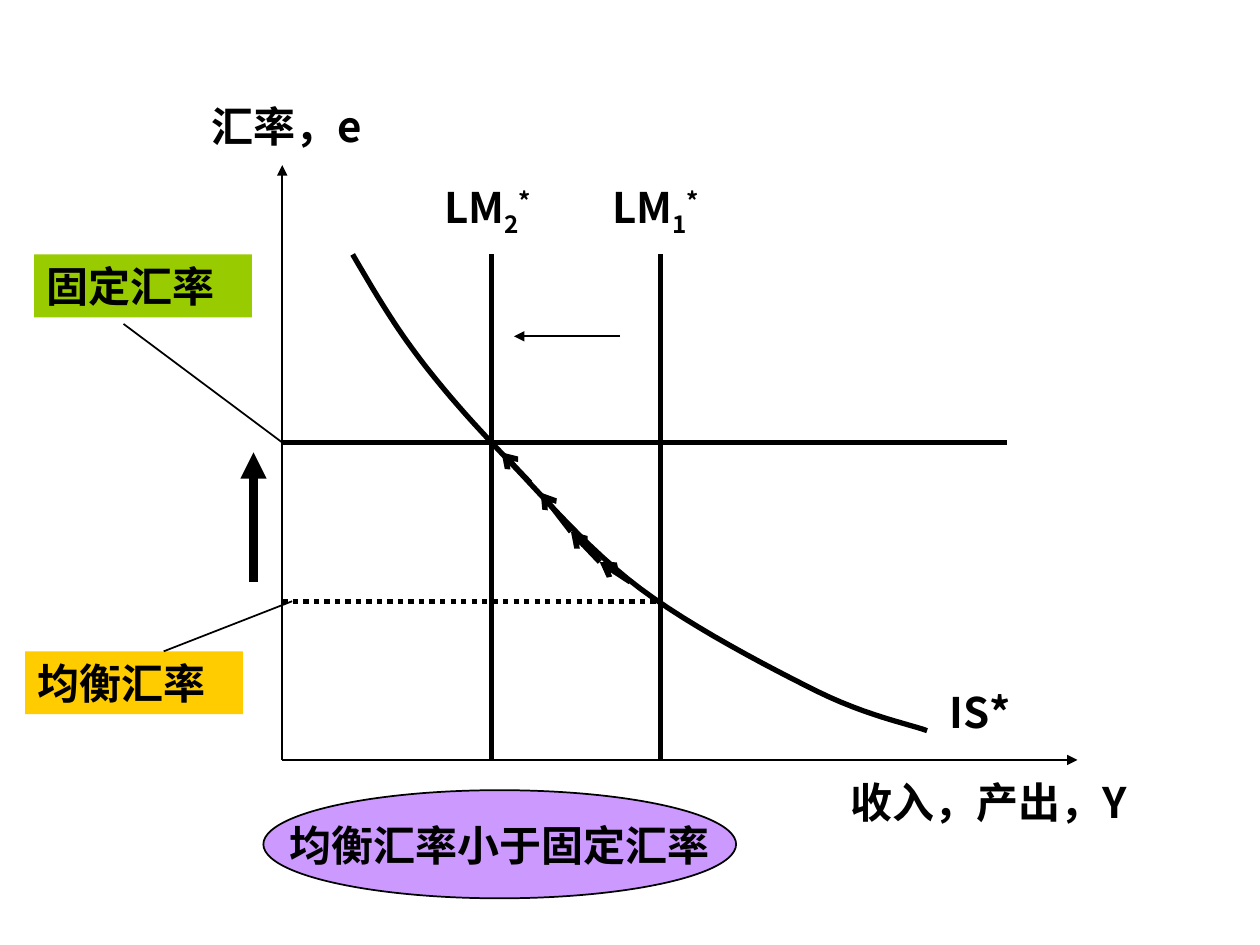
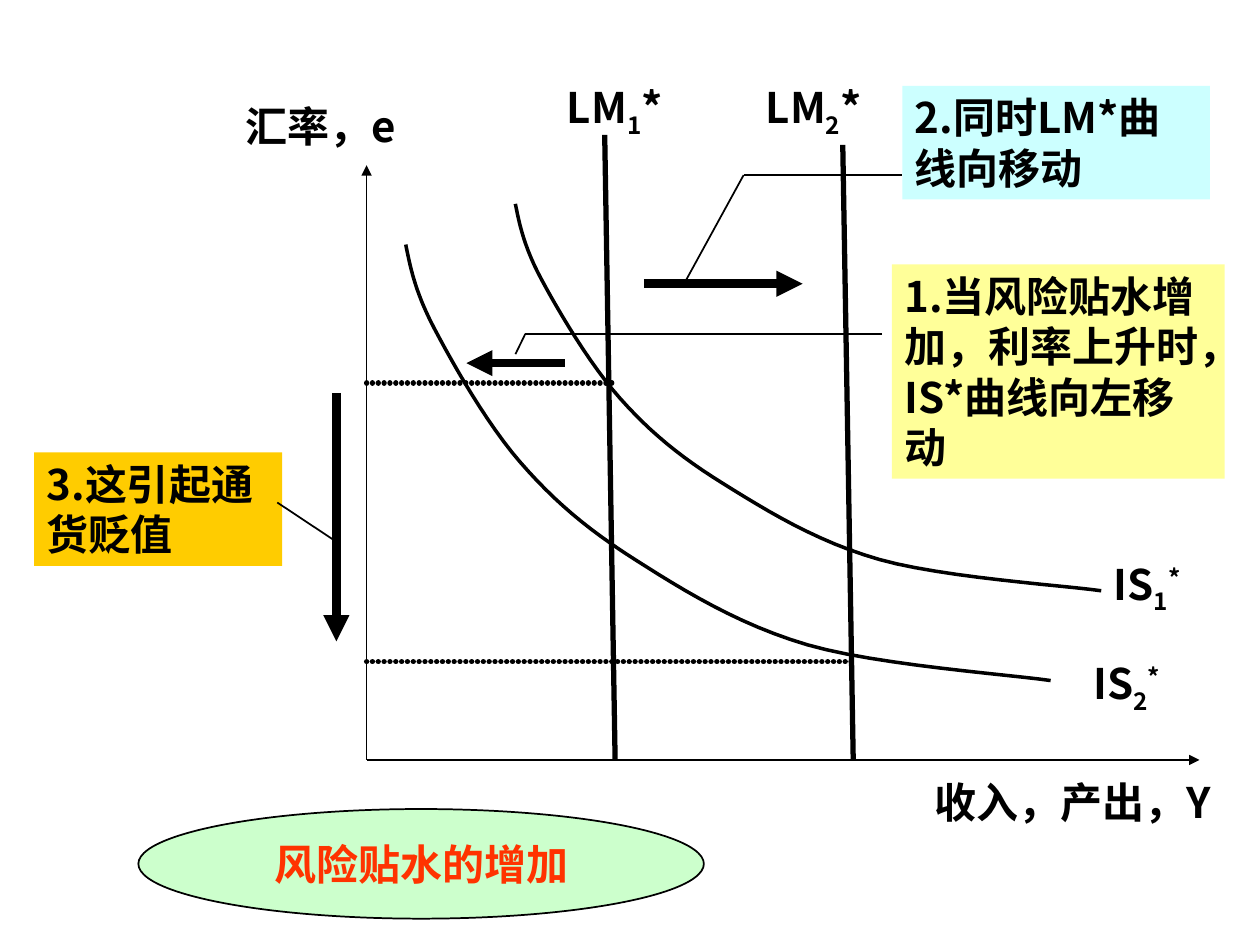
import pptx
import pptx.util
import pptx.dml.color
import pptx.enum.dml
import pptx.enum.shapes
import pptx.enum.text
import pptx.oxml
import pptx.oxml.ns

Cm, Pt = pptx.util.Cm, pptx.util.Pt
qn = pptx.oxml.ns.qn
SHAPE = pptx.enum.shapes.MSO_SHAPE

FONT = "Noto Sans CJK SC"
COLORS = {
    "ink": "000000", "red": "FF3300", "orange": "FFCC00", "lime": "99CC00",
    "violet": "CC99FF", "cyan": "CCFFFF", "yellow": "FFFF99", "mint": "CCFFCC",
}
THIN, MEDIUM, THICK, HEAVY = 1, 2, 3, 5  # line widths in points
AXIS_TOP, AXIS_Y = 3.33, 15.32
ROW, LABEL_ROW = 1.27, 1.42  # heights of plain and indexed labels


def rgb(name):
    return pptx.dml.color.RGBColor.from_string(COLORS[name])


def set_line(line, width):
    line.color.rgb = rgb("ink")
    line.width = Pt(width)


def element(tag, attributes="", inner=""):
    """New DrawingML element."""
    declaration = pptx.oxml.ns.nsdecls("a")
    return pptx.oxml.parse_xml(f"<a:{tag} {declaration} {attributes}>{inner}</a:{tag}>")


# Text
def write(sp, parts, color="ink", wrap=True, centred=False):
    """Fill a shape with one paragraph of (text, baseline percent) parts."""
    tf = sp.text_frame
    tf.word_wrap = wrap
    tf.vertical_anchor = getattr(pptx.enum.text.MSO_ANCHOR, "MIDDLE" if centred else "TOP")
    p = tf.paragraphs[0]
    p.alignment = getattr(pptx.enum.text.PP_ALIGN, "CENTER" if centred else "LEFT")
    for text, baseline in parts:
        r = p.add_run()
        r.text = text
        if baseline:
            r._r.get_or_add_rPr().set("baseline", str(baseline * 1000))
    p.font.size = Pt(24)
    p.font.bold = True
    p.font.name = FONT
    p.font.color.rgb = rgb(color)
    latin = p._p.pPr.find(qn("a:defRPr")).find(qn("a:latin"))
    latin.addnext(element("ea", f'typeface="{FONT}"'))


def add_label(s, x, y, w, *parts):
    h = LABEL_ROW if len(parts) > 1 else ROW
    write(s.shapes.add_textbox(Cm(x), Cm(y), Cm(w), Cm(h)), parts)


def add_curve_label(s, x, y, w, name, index, star=30):
    add_label(s, x, y, w, (name, 0), (index, -25), ("*", star))


def add_filled(s, kind, box, fill):
    sp = s.shapes.add_shape(kind, *map(Cm, box))
    sp.shadow.inherit = False
    sp.fill.solid()
    sp.fill.fore_color.rgb = rgb(fill)
    return sp


def add_note(s, box, text, fill):
    sp = add_filled(s, SHAPE.RECTANGLE, box, fill)
    sp.line.fill.background()
    write(sp, [(text, 0)])


def add_caption(s, box, text, fill, color="ink"):
    sp = add_filled(s, SHAPE.OVAL, box, fill)
    set_line(sp.line, THIN)
    write(sp, [(text, 0)], color, wrap=False, centred=True)


# Lines
def add_line(s, start, end, width=THIN, head=None):
    ends = map(Cm, (*start, *end))
    line = s.shapes.add_connector(pptx.enum.shapes.MSO_CONNECTOR.STRAIGHT, *ends)
    set_line(line.line, width)
    line._element.spPr.append(element("effectLst"))
    if head:
        line.line._get_or_add_ln().append(element("tailEnd", f'type="{head}"'))
    return line


def add_path(s, *points):
    for start, end in zip(points, points[1:]):
        add_line(s, start, end)


def add_beaded_line(s, start, end):
    """Line of touching round dots."""
    ln = add_line(s, start, end, THICK).line._get_or_add_ln()
    ln.set("cap", "rnd")
    dash = element("custDash", inner='<a:ds d="1000" sp="110000"/>')
    ln.find(qn("a:solidFill")).addnext(dash)


def add_curve(s, knots, width, steps=12):
    """Smooth curve through the knots, each tangent parallel to its neighbours' chord."""
    def shift(p, a, b, k):
        return tuple(v + (n - m) * k for v, m, n in zip(p, a, b))

    points = [knots[0]]
    last = len(knots) - 1
    for i in range(last):
        p, q = knots[i], knots[i + 1]
        c2 = shift(q, p, knots[min(i + 2, last)], -1 / 6)
        c1 = shift(p, knots[i - 1], q, 1 / 6) if i else shift(p, p, c2, 1 / 2)
        for step in range(1, steps + 1):
            t = step / steps
            u = 1 - t
            weights = (u ** 3, 3 * u * u * t, 3 * u * t * t, t ** 3)
            points.append(tuple(sum(w * v for w, v in zip(weights, axis))
                                for axis in zip(p, c1, c2, q)))
    points = [(Cm(x), Cm(y)) for x, y in points]
    builder = s.shapes.build_freeform(*points[0])
    builder.add_line_segments(points[1:], close=False)
    sp = builder.convert_to_shape()
    sp.shadow.inherit = False
    sp.fill.background()
    set_line(sp.line, width)


def add_axes(s, x, right, rate_x, income_x):
    add_line(s, (x, AXIS_Y), (x, AXIS_TOP), head="triangle")
    add_line(s, (x, AXIS_Y), (right, AXIS_Y), head="triangle")
    add_label(s, rate_x, 1.91, 4.22, ("汇率，e", 0))
    add_label(s, income_x, 15.52, 6.6, ("收入，产出，Y", 0))


# Slides
def build_fixed_rate(s):
    axis_x, fixed_y, balance_y, lm_top = 5.69, 8.92, 12.12, 5.13
    add_axes(s, axis_x, 21.72, 4.01, 16.89)

    # Curves and exchange rates
    for x, label_x, index in ((9.91, 8.71, "2"), (13.31, 12.09, "1")):
        add_line(s, (x, AXIS_Y), (x, lm_top), THICK)
        add_curve_label(s, label_x, 3.53, 2.59, "LM", index)
    add_curve(s, [(7.11, 5.13), (8.43, 7.19), (10.24, 9.27),
                  (12.9, 11.86), (16.48, 13.94), (18.69, 14.73)], THICK)
    add_label(s, 18.9, 13.72, 2.21, ("IS*", 0))
    add_line(s, (20.29, fixed_y), (axis_x, fixed_y), THICK)
    balance = add_line(s, (axis_x, balance_y), (13.31, balance_y), THICK)
    balance.line.dash_style = pptx.enum.dml.MSO_LINE.ROUND_DOT

    # Notes and their leaders
    add_note(s, (0.51, 13.13, 4.39, ROW), "均衡汇率", "orange")
    add_note(s, (0.69, 5.13, 4.39, ROW), "固定汇率", "lime")
    add_path(s, (2.49, 6.53), (axis_x, fixed_y))
    add_path(s, (3.3, 13.13), (5.89, balance_y))
    add_caption(s, (5.31, 15.93, 9.53, 2.18), "均衡汇率小于固定汇率", "violet")

    # Movements
    add_line(s, (5.11, 11.73), (5.11, 9.12), HEAVY, "triangle")
    add_line(s, (12.5, 6.78), (10.36, 6.78), THIN, "triangle")
    for start, end in (((10.69, 9.73), (10.11, 9.12)), ((12.09, 11.33), (11.51, 10.72)),
                       ((11.51, 10.72), (10.9, 9.93)), ((12.7, 11.73), (12.09, 11.33))):
        add_line(s, start, end, THICK, "arrow")


def build_risk_premium(s):
    axis_x, lm1_x, lm2_x = 7.39, 12.4, 17.2
    add_axes(s, axis_x, 24.18, 4.7, 18.59)

    # Curves
    add_curve(s, [(8.18, 4.93), (8.76, 6.63), (10.49, 9.32),
                  (12.8, 11.28), (16.28, 13), (21.18, 13.72)], MEDIUM)
    add_curve(s, [(10.39, 4.11), (10.92, 5.64), (12.5, 8.03),
                  (14.58, 9.75), (17.73, 11.28), (22.2, 11.91)], MEDIUM)
    add_curve_label(s, 22.2, 11.13, 2.21, "IS", "1")
    add_curve_label(s, 21.79, 13.13, 2.11, "IS", "2")
    for x, top, label_x, index in ((lm1_x, 2.72, 11.18, "1"), (lm2_x, 2.92, 15.19, "2")):
        add_line(s, (x, AXIS_Y), (x - 0.21, top), THICK)
        add_curve_label(s, label_x, 1.52, 2.59, "LM", index, star=0)
    for x, y in ((lm1_x, 7.72), (lm2_x, 13.34)):
        add_beaded_line(s, (axis_x, y), (x, y))

    # Movements
    for start, end in (((12.98, 5.72), (16.18, 5.72)), ((11.38, 7.32), (9.4, 7.32)),
                       ((6.78, 7.92), (6.78, 12.93))):
        add_line(s, start, end, HEAVY, "triangle")

    # Notes and their leaders
    add_note(s, (18.19, 1.73, 6.2, 2.29), "2.同时LM*曲线向移动", "cyan")
    add_note(s, (17.98, 5.33, 6.71, 4.32), "1.当风险贴水增加，利率上升时，IS*曲线向左移动", "yellow")
    add_note(s, (0.69, 9.12, 5, 2.29), "3.这引起通货贬值", "orange")
    add_path(s, (13.79, 5.72), (14.99, 3.53), (18.19, 3.53))
    add_path(s, (17.78, 6.73), (10.59, 6.73), (10.39, 7.14))
    add_path(s, (5.59, 10.13), (6.78, 10.92))
    add_caption(s, (2.79, 16.31, 11.4, 2.21), "风险贴水的增加", "mint", "red")


def main():
    prs = pptx.Presentation()
    prs.slide_width, prs.slide_height = Cm(25.4), Cm(19.05)
    blank = prs.slide_layouts.get_by_name("Blank")
    for build in (build_fixed_rate, build_risk_premium):
        build(prs.slides.add_slide(blank))
    prs.save("out.pptx")


if __name__ == "__main__":
    main()
